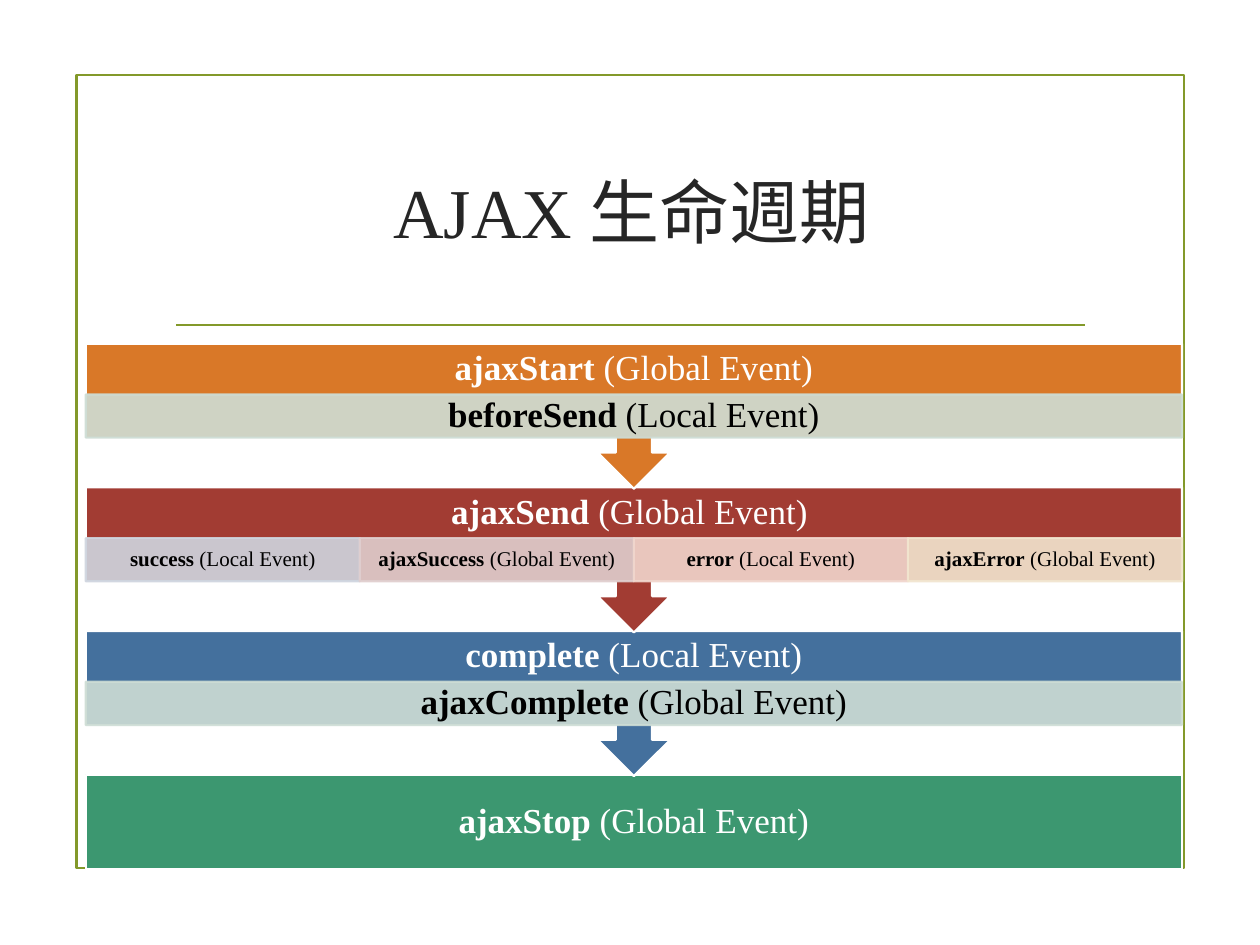
from pptx import Presentation
from pptx.dml.color import RGBColor
from pptx.enum.shapes import MSO_CONNECTOR as Link, MSO_SHAPE as Shape
from pptx.enum.text import MSO_ANCHOR as Anchor, PP_ALIGN as Align
from pptx.oxml.ns import qn
from pptx.util import Pt
from lxml.etree import SubElement

WHITE = RGBColor(0xFF, 0xFF, 0xFF)
BLACK = RGBColor(0, 0, 0)
INK = RGBColor(0x26, 0x26, 0x26)
OLIVE = RGBColor(0x83, 0x99, 0x2A)
GREEN = RGBColor(0x3C, 0x97, 0x70)
BLUE = RGBColor(0x44, 0x70, 0x9D)
RED = RGBColor(0xA2, 0x3C, 0x33)
ORANGE = RGBColor(0xD9, 0x78, 0x28)
MINT = RGBColor(0xCE, 0xDD, 0xD5)
MIST = RGBColor(0xCF, 0xD5, 0xDF)
ROSE = RGBColor(0xE0, 0xCE, 0xCE)
PEACH = RGBColor(0xF1, 0xD6, 0xCD)
SAND = RGBColor(0xF2, 0xE5, 0xCF)

LEFT, WIDTH = 49, 626.4
TOP, STEP = 196.4, 82.1
HEAD, SUB = 29, 24.7

deck = Presentation()
deck.slide_width, deck.slide_height = Pt(720), Pt(540)
slide = deck.slides.add_slide(deck.slide_layouts[6])
shapes = slide.shapes


def add_block(kind, x, y, w, h, fill, edge):
    block = shapes.add_shape(kind, Pt(x), Pt(y), Pt(w), Pt(h))
    block.shadow.inherit = False
    if fill is None:
        block.fill.background()
    else:
        block.fill.solid()
        block.fill.fore_color.rgb = fill
    block.line.color.rgb = edge
    block.line.width = Pt(1.25)
    return block


def add_text(shape, parts, size, color):
    frame = shape.text_frame
    frame.word_wrap = True
    frame.vertical_anchor = Anchor.MIDDLE
    frame.margin_top = frame.margin_bottom = Pt(2)
    para = frame.paragraphs[0]
    para.alignment = Align.CENTER
    para.line_spacing = 0.9
    for i, part in enumerate(parts):
        run = para.add_run()
        run.text = part
        run.font.name = "Times New Roman"
        run.font.size = Pt(size)
        run.font.color.rgb = color
        run.font.bold = i == 0 and len(parts) > 1


add_block(Shape.RECTANGLE, 43.7, 42.7, 633, 453.4, None, OLIVE)
rule = shapes.add_connector(Link.STRAIGHT, Pt(100.6), Pt(185.7), Pt(620), Pt(185.7))
rule.line.color.rgb = OLIVE
rule.line.width = Pt(1.25)
SubElement(rule._element.spPr, qn("a:effectLst"))

title = shapes.add_textbox(Pt(93), Pt(72), Pt(535.7), Pt(103))
add_text(title, ["AJAX 生命週期"], 40, INK)

stop = add_block(Shape.RECTANGLE, LEFT, TOP + 3 * STEP, WIDTH, 54, GREEN, WHITE)
add_text(stop, ["ajaxStop", " (Global Event)"], 20, WHITE)

stages = [
    (2, BLUE, ["complete", " (Local Event)"], 20, [
        ("ajaxComplete", " (Global Event)", MINT)]),
    (1, RED, ["ajaxSend", " (Global Event) "], 12, [
        ("success", " (Local Event)", MIST),
        ("ajaxSuccess", " (Global Event)", ROSE),
        ("error", " (Local Event)", PEACH),
        ("ajaxError", " (Global Event)", SAND)]),
    (0, ORANGE, ["ajaxStart", " (Global Event)"], 20, [
        ("beforeSend", " (Local Event)", MINT)]),
]

for row, color, parts, size, events in stages:
    y = TOP + row * STEP
    arrow = add_block(Shape.UP_ARROW_CALLOUT, LEFT, y, WIDTH, 82.9, color, WHITE)
    arrow.rotation = 180
    head = shapes.add_textbox(Pt(LEFT), Pt(y), Pt(WIDTH), Pt(HEAD))
    add_text(head, parts, 20, WHITE)
    w = WIDTH / len(events)
    for i, (name, scope, tint) in enumerate(events):
        cell = add_block(Shape.RECTANGLE, LEFT + i * w, y + HEAD, w, SUB, tint, tint)
        for clr in cell._element.spPr.iter(qn("a:srgbClr")):
            SubElement(clr, qn("a:alpha"), val="90000")
        add_text(cell, [name, scope], size, BLACK)

deck.save("out.pptx")
